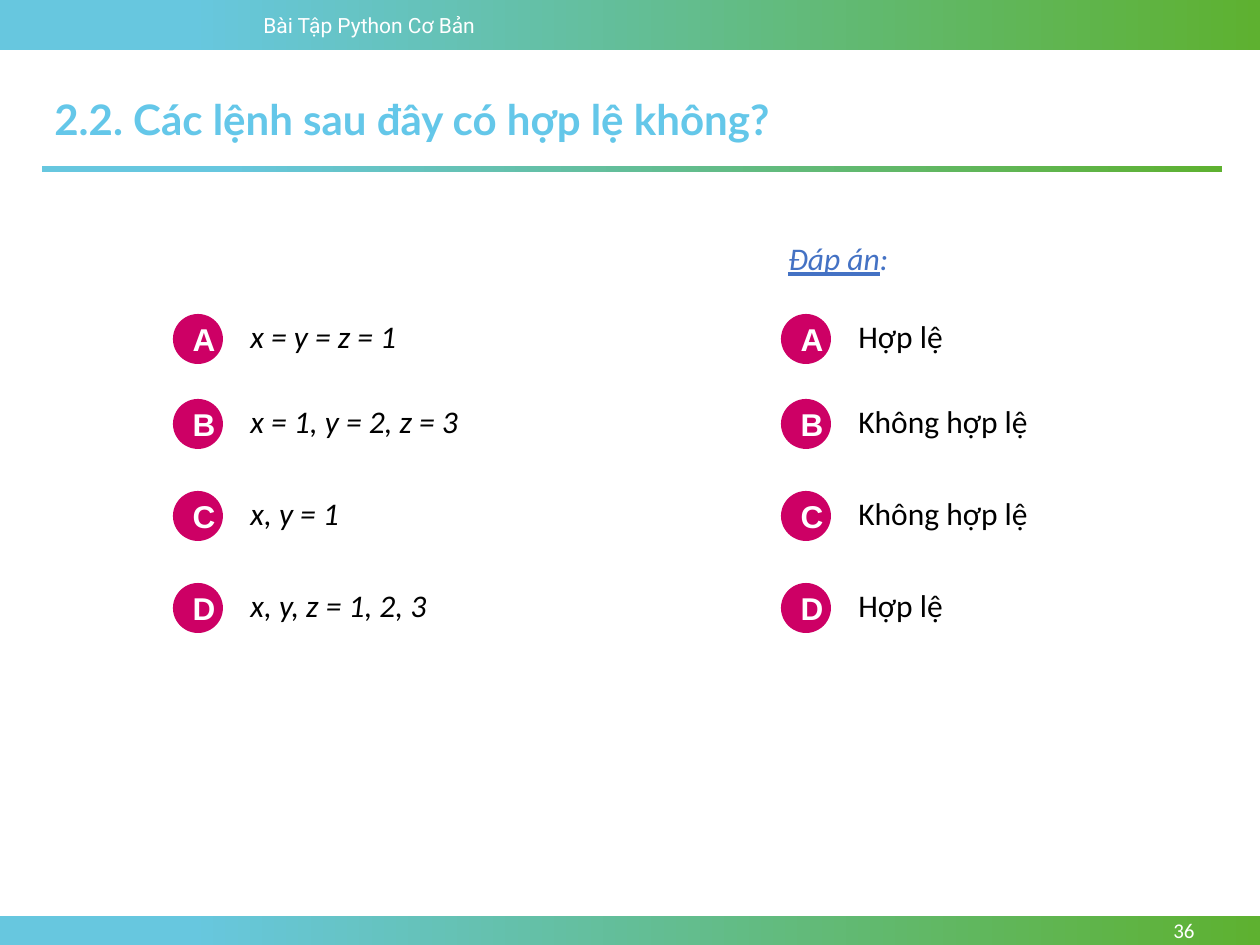
from pptx import Presentation
from pptx.dml.color import RGBColor
from pptx.enum.shapes import MSO_SHAPE
from pptx.enum.text import MSO_ANCHOR, PP_ALIGN

PX = 914400 / 126


def color(value):
    return RGBColor.from_string(value)


def put_text(sp, text, size=18, font="Calibri", fill="000000", bold=False,
             italic=False, underline=False, align=PP_ALIGN.LEFT, anchor=MSO_ANCHOR.TOP):
    tf = sp.text_frame
    tf.word_wrap = True
    tf.vertical_anchor = anchor
    p = tf.paragraphs[0]
    p.alignment = align
    r = p.add_run()
    r.text = text
    r.font.size = int(size * 12700)
    r.font.name = font
    r.font.bold = bold
    r.font.italic = italic
    r.font.underline = underline
    r.font.color.rgb = color(fill)


prs = Presentation()
prs.slide_width = int(1260 * PX)
prs.slide_height = int(945 * PX)
s = prs.slides.add_slide(prs.slide_layouts[6])

for box in [(0, 0, 1260, 50), (0, 916, 1260, 29), (42, 166, 1180, 6)]:
    sp = s.shapes.add_shape(MSO_SHAPE.RECTANGLE, *[int(v * PX) for v in box])
    sp.shadow.inherit = False
    sp.line.fill.background()
    sp.fill.gradient()
    sp.fill.gradient_angle = 0
    stops = [(0.15, "67C7DF"), (1, "5EB130")]
    for stop, (position, value) in zip(sp.fill.gradient_stops, stops):
        stop.position = position
        stop.color.rgb = color(value)

labels = [
    ((251, 6, 284, 38), "Bài Tập Python Cơ Bản",
     dict(size=12, font="Roboto", fill="FFFFFF")),
    ((1091, 916, 116, 29), "36",
     dict(size=12, fill="FFFFFF", align=PP_ALIGN.RIGHT, anchor=MSO_ANCHOR.MIDDLE)),
    ((42, 87, 1208, 63), "2.2. Các lệnh sau đây có hợp lệ không?",
     dict(size=24, font="Lato", fill="64C7E9", bold=True)),
    ((776, 233, 126, 50), "Đáp án", dict(fill="4472C4", italic=True, underline=True)),
]
for box, text, style in labels:
    sp = s.shapes.add_textbox(*[int(v * PX) for v in box])
    put_text(sp, text, **style)
put_text(sp, ":", fill="4472C4", italic=True)

tops = [314, 399, 491, 583]
columns = [
    (173, True, ["x = y = z = 1", "x = 1, y = 2, z = 3", "x, y = 1", "x, y, z = 1, 2, 3"]),
    (781, False, ["Hợp lệ", "Không hợp lệ", "Không hợp lệ", "Hợp lệ"]),
]
for left, italic, texts in columns:
    for letter, top, text in zip("ABCD", tops, texts):
        sp = s.shapes.add_shape(MSO_SHAPE.OVAL, *[int(v * PX) for v in (left, top, 50, 50)])
        sp.shadow.inherit = False
        sp.line.fill.background()
        sp.fill.solid()
        sp.fill.fore_color.rgb = color("CD0065")
        put_text(sp, letter, font="Arial", fill="FFFFFF", bold=True,
                 align=PP_ALIGN.CENTER, anchor=MSO_ANCHOR.MIDDLE)
        sp = s.shapes.add_textbox(*[int(v * PX) for v in (left + 65, top - 3, 348, 50)])
        put_text(sp, text, italic=italic)

prs.save("out.pptx")
